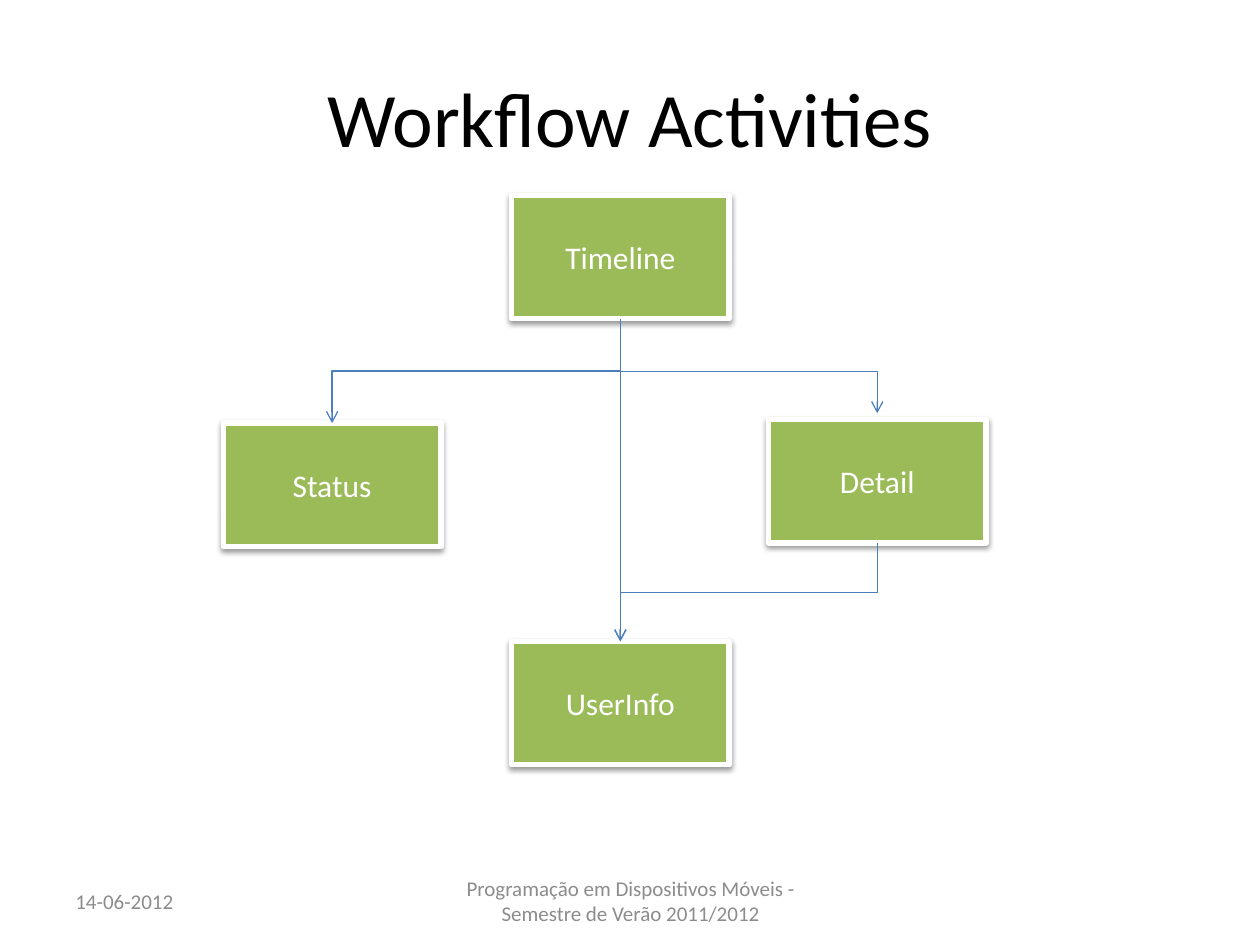
from dataclasses import dataclass

from lxml import etree
from pptx import Presentation
from pptx import util as u
from pptx.dml.color import RGBColor
from pptx.enum import shapes, text
from pptx.oxml import parse_xml
from pptx.oxml.ns import nsdecls, qn


@dataclass(frozen=True)
class Theme:
    font: str = "Calibri"
    ink: str = "000000"
    muted: str = "8C8C8C"
    light: str = "FFFFFF"
    accent: str = "9BBB59"
    link: str = "4B7EBC"
    title_size: int = 44
    box_size: int = 18
    footer_size: int = 12
    border: float = 3
    link_width: float = 0.75


THEME = Theme()
BOX_WIDTH, BOX_HEIGHT = u.Cm(4.39), u.Cm(2.49)
LEFT, CENTER, RIGHT = 4.5, 10.31, 15.49
BOXES = {
    "Timeline": (CENTER, 3.94),
    "Status": (LEFT, 8.53),
    "UserInfo": (CENTER, 12.93),
    "Detail": (RIGHT, 8.46),
}
DETAIL_GAP = u.Cm(0.13)


def write(shape, words, size, color, align):
    frame = shape.text_frame
    frame.word_wrap = True
    frame.vertical_anchor = text.MSO_ANCHOR.MIDDLE
    para = frame.paragraphs[0]
    para.text = words
    para.alignment = align
    para.font.name = THEME.font
    para.font.size = u.Pt(size)
    para.font.color.rgb = RGBColor.from_string(color)


def add_label(page, words, place, size, color, align=text.PP_ALIGN.CENTER):
    label = page.shapes.add_textbox(*map(u.Cm, place))
    write(label, words, size, color, align)


def add_shadow(shape):
    shape.shadow.inherit = False
    effects = shape._element.spPr.find(qn("a:effectLst"))
    effects.append(parse_xml(
        f'<a:outerShdw {nsdecls("a")} blurRad="{u.Pt(3.1)}" dist="{u.Pt(1.6)}" '
        'dir="5400000" rotWithShape="0"><a:srgbClr val="000000">'
        '<a:alpha val="38000"/></a:srgbClr></a:outerShdw>'))


def add_box(page, words, left, top):
    box = page.shapes.add_shape(shapes.MSO_SHAPE.RECTANGLE, u.Cm(left), u.Cm(top),
                                BOX_WIDTH, BOX_HEIGHT)
    box.fill.solid()
    box.fill.fore_color.rgb = RGBColor.from_string(THEME.accent)
    box.line.color.rgb = RGBColor.from_string(THEME.light)
    box.line.width = u.Pt(THEME.border)
    add_shadow(box)
    write(box, words, THEME.box_size, THEME.light, text.PP_ALIGN.CENTER)
    return box


def add_link(page, source, target, gap=0, bend=0.5):
    start_x, start_y = source.left + source.width // 2, source.top + source.height
    end_x, end_y = target.left + target.width // 2, target.top - gap
    link = page.shapes.add_connector(shapes.MSO_CONNECTOR.ELBOW,
                                     start_x, start_y, end_x, end_y)
    link.begin_connect(source, 2)
    if not gap:
        link.end_connect(target, 0)

    drop, spread = end_y - start_y, abs(end_x - start_x)
    link.left = (start_x + end_x - drop) // 2
    link.top = (start_y + end_y - spread) // 2
    link.width, link.height = drop, spread
    properties = link._element.spPr
    turn = properties.find(qn("a:xfrm"))
    rightward = end_x > start_x
    turn.set("rot", "16200000" if rightward else "5400000")
    turn.set("flipH", "1" if rightward else "0")
    turn.set("flipV", "0")
    guides = properties.find(qn("a:prstGeom")).find(qn("a:avLst"))
    etree.SubElement(guides, qn("a:gd"), name="adj1", fmla=f"val {round(bend * 100000)}")

    link.line.color.rgb = RGBColor.from_string(THEME.link)
    link.line.width = u.Pt(THEME.link_width)
    etree.SubElement(link.line._get_or_add_ln(), qn("a:tailEnd"), type="arrow")
    etree.SubElement(properties, qn("a:effectLst"))


def main():
    deck = Presentation()
    deck.slide_width, deck.slide_height = u.Cm(25.4), u.Cm(19.05)
    page = deck.slides.add_slide(deck.slide_layouts[6])

    add_label(page, "Workflow Activities", (1.27, 0.76, 22.86, 3.18),
              THEME.title_size, THEME.ink)
    add_label(page, "14-06-2012", (1.27, 17.65, 5.92, 1.02),
              THEME.footer_size, THEME.muted, text.PP_ALIGN.LEFT)
    add_label(page, "Programação em Dispositivos Móveis - Semestre de Verão 2011/2012",
              (8.69, 17.65, 8.05, 1.02), THEME.footer_size, THEME.muted)

    boxes = {name: add_box(page, name, *place) for name, place in BOXES.items()}
    add_link(page, boxes["Timeline"], boxes["Status"])
    add_link(page, boxes["Timeline"], boxes["Detail"], DETAIL_GAP, 0.56)
    add_link(page, boxes["Timeline"], boxes["UserInfo"])
    add_link(page, boxes["Detail"], boxes["UserInfo"])
    deck.save("out.pptx")


if __name__ == "__main__":
    main()
